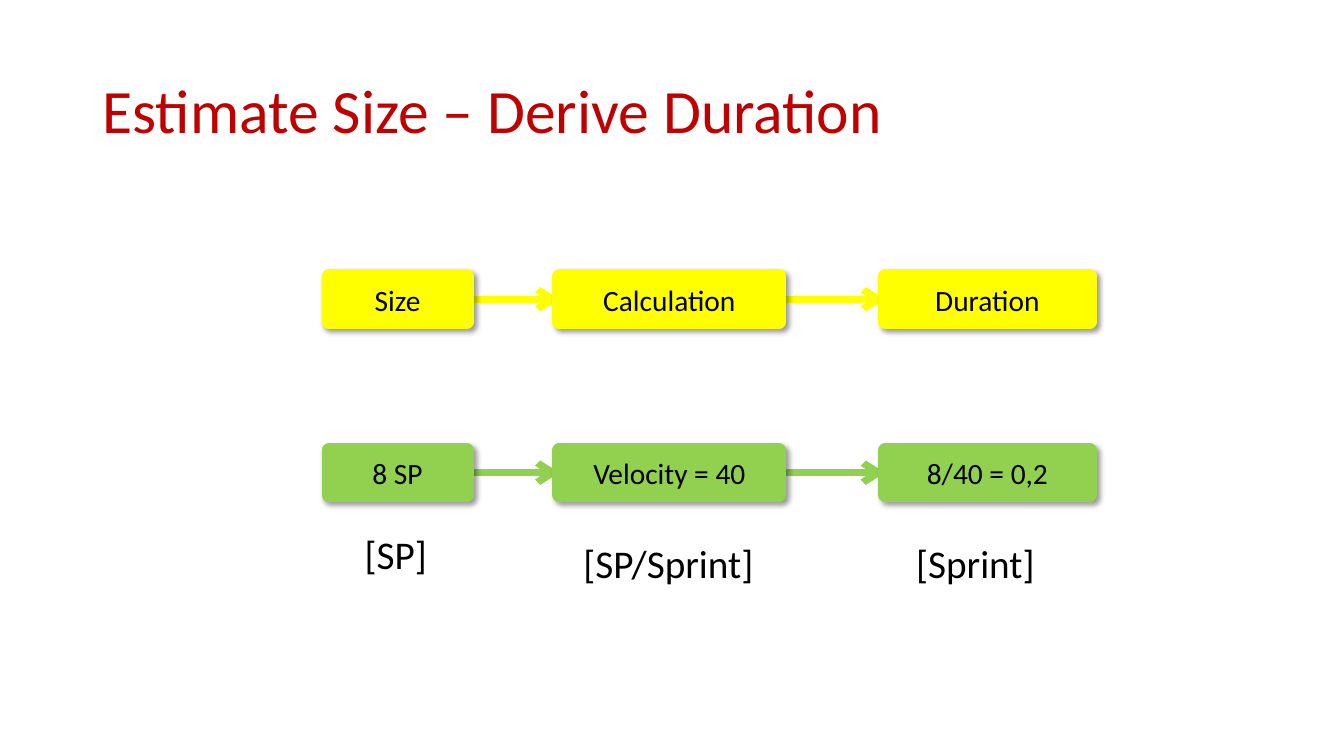
from lxml import etree
from pptx import Presentation
from pptx.dml.color import RGBColor
from pptx.enum.shapes import MSO_CONNECTOR as CONNECTOR, MSO_SHAPE as SHAPE
from pptx.enum.text import MSO_ANCHOR as ANCHOR, PP_ALIGN as ALIGN
from pptx.oxml.ns import qn
from pptx.util import Pt


def add_element(parent, tag, **attributes):
    return etree.SubElement(parent, qn(tag), attributes)


def style_text(paragraph, text, size, color):
    paragraph.text = text
    paragraph.font.name = "Calibri"
    paragraph.font.size = Pt(size)
    paragraph.font.color.rgb = RGBColor.from_string(color)


presentation = Presentation()
presentation.slide_width, presentation.slide_height = Pt(960), Pt(540)
slide = presentation.slides.add_slide(presentation.slide_layouts[5])

title = slide.shapes.title
title.left, title.top, title.width, title.height = Pt(66), Pt(28.75), Pt(828), Pt(104.4)
title.text_frame.vertical_anchor = ANCHOR.MIDDLE
heading = title.text_frame.paragraphs[0]
heading.alignment = ALIGN.LEFT
heading.line_spacing = 0.9
style_text(heading, "Estimate Size – Derive Duration", 44, "C00000")

# Left edge and width of each step
columns = [(234.7, 98.6), (399.6, 157), (632.2, 146.2)]
# Top, height, colour and labels of each chain of steps
chains = [
    (197.5, 32.5, "FFFF00", ["Size", "Calculation", "Duration"]),
    (321.8, 31.7, "92D050", ["8 SP", "Velocity = 40", "8/40 = 0,2"]),
]
for top, height, color, labels in chains:
    boxes = []
    for (left, width), label in zip(columns, labels):
        box = slide.shapes.add_shape(SHAPE.RECTANGLE, Pt(left), Pt(top), Pt(width), Pt(height))
        box.fill.solid()
        box.fill.fore_color.rgb = RGBColor.from_string(color)
        box.line.color.rgb = RGBColor.from_string(color)
        box.line.width = Pt(10)
        add_element(box.line._get_or_add_ln(), "a:round")
        box.shadow.inherit = False
        effects = box._element.spPr.find(qn("a:effectLst"))
        shadow = add_element(effects, "a:outerShdw", blurRad=str(Pt(4)), dist=str(Pt(3)),
                             dir="2700000", algn="tl", rotWithShape="0")
        shadow_color = add_element(shadow, "a:srgbClr", val="000000")
        add_element(shadow_color, "a:alpha", val="40000")
        frame = box.text_frame
        frame.margin_left = frame.margin_right = Pt(17.3)
        frame.margin_top = frame.margin_bottom = Pt(2.9)
        frame.vertical_anchor = ANCHOR.MIDDLE
        frame.paragraphs[0].alignment = ALIGN.CENTER
        style_text(frame.paragraphs[0], label, 21, "000000")
        boxes.append(box)

    for source, target in zip(boxes, boxes[1:]):
        arrow = slide.shapes.add_connector(CONNECTOR.STRAIGHT, 0, 0, 0, 0)
        arrow.begin_connect(source, 3)
        arrow.end_connect(target, 1)
        arrow.line.color.rgb = RGBColor.from_string(color)
        arrow.line.width = Pt(5)
        add_element(arrow.line._get_or_add_ln(), "a:tailEnd", type="arrow")
        add_element(arrow._element.spPr, "a:effectLst")
        # Arrows lie behind the boxes they join
        boxes[0]._element.addprevious(arrow._element)

units = [
    ("[SP]", 253.4, 378.7, 60.5, 0.9),
    ("[SP/Sprint]", 409.7, 381.5, 137.5, 1.0),
    ("[Sprint]", 647.3, 382, 115.2, 1.0),
]
for text, left, top, width, line_spacing in units:
    unit = slide.shapes.add_textbox(Pt(left), Pt(top), Pt(width), Pt(43.9))
    unit.text_frame.word_wrap = True
    paragraph = unit.text_frame.paragraphs[0]
    paragraph.line_spacing = line_spacing
    style_text(paragraph, text, 28, "000000")

presentation.save("out.pptx")
